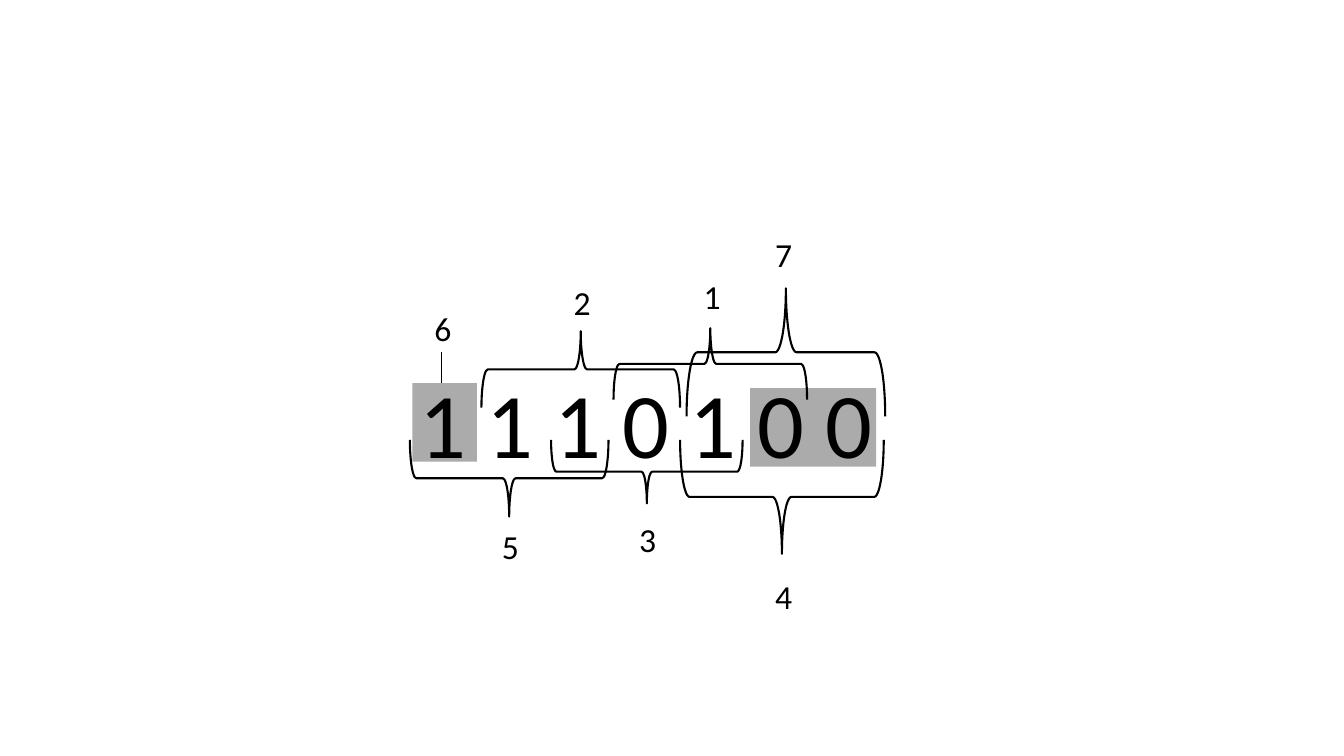
from dataclasses import dataclass

from lxml import etree
from pptx import Presentation, util as u
from pptx.dml.color import RGBColor
from pptx.enum import shapes, text
from pptx.oxml import ns

PX = u.Inches(1) // 100
COLORS = {"ink": "000000", "shade": "595959"}
FONT = "Calibri"
LABEL_WIDTH, LABEL_HEIGHT = 34, 50
UPWARD, DOWNWARD = 270, 90


@dataclass(frozen=True)
class Box:
    left: int
    top: int
    width: int
    height: int

    def emu(self) -> tuple[int, ...]:
        return tuple(value * PX for value in (self.left, self.top, self.width, self.height))


@dataclass(frozen=True)
class Brace:
    box: Box
    rotation: int


@dataclass(frozen=True)
class Label:
    number: int
    left: int
    top: int


SHADES = [Box(409, 380, 64, 78), Box(744, 385, 125, 78)]
BRACES = [
    Brace(Box(669, 265, 71, 192), UPWARD),
    Brace(Box(538, 268, 76, 197), UPWARD),
    Brace(Box(610, 373, 63, 190), DOWNWARD),
    Brace(Box(719, 392, 113, 202), DOWNWARD),
    Brace(Box(467, 376, 76, 197), DOWNWARD),
    Brace(Box(716, 251, 127, 197), UPWARD),
]
LABELS = [
    Label(1, 688, 269),
    Label(2, 559, 275),
    Label(3, 624, 510),
    Label(4, 759, 566),
    Label(5, 488, 517),
    Label(6, 421, 301),
    Label(7, 759, 227),
]


def color(name: str) -> RGBColor:
    return RGBColor.from_string(COLORS[name])


def add_shade(slide, box: Box) -> None:
    shape = slide.shapes.add_shape(shapes.MSO_SHAPE.RECTANGLE, *box.emu())
    shape.shadow.inherit = False
    shape.line.fill.background()
    shape.fill.solid()
    shape.fill.fore_color.rgb = color("shade")
    fill_color = shape.fill._xPr.find(".//" + ns.qn("a:srgbClr"))
    etree.SubElement(fill_color, ns.qn("a:alpha"), val="50000")


def add_text(slide, box: Box, content: str, size: int) -> None:
    text_frame = slide.shapes.add_textbox(*box.emu()).text_frame
    text_frame.word_wrap = True
    text_frame.auto_size = text.MSO_AUTO_SIZE.SHAPE_TO_FIT_TEXT
    text_frame.text = content
    font = text_frame.paragraphs[0].runs[0].font
    font.name = FONT
    font.size = u.Pt(size)
    font.color.rgb = color("ink")


def add_brace(slide, brace: Brace) -> None:
    shape = slide.shapes.add_shape(shapes.MSO_SHAPE.RIGHT_BRACE, *brace.box.emu())
    shape.rotation = brace.rotation
    shape.shadow.inherit = False
    shape.fill.background()
    shape.line.color.rgb = color("ink")
    shape.line.width = u.Pt(1.5)


def add_pointer(slide, x: int, start: int, end: int) -> None:
    connector = slide.shapes.add_connector(
        shapes.MSO_CONNECTOR.STRAIGHT, x * PX, start * PX, x * PX, end * PX
    )
    connector.line.color.rgb = color("ink")
    connector.line.width = u.Pt(0.5)
    etree.SubElement(connector._element.spPr, ns.qn("a:effectLst"))


def main() -> None:
    presentation = Presentation()
    presentation.slide_width = 1333 * PX
    presentation.slide_height = 750 * PX
    slide = presentation.slides.add_slide(presentation.slide_layouts[6])
    for shade in SHADES:
        add_shade(slide, shade)
    add_text(slide, Box(406, 358, 503, 121), "1 1 1 0 1 0 0", 66)
    for brace in BRACES:
        add_brace(slide, brace)
    for label in LABELS:
        box = Box(label.left, label.top, LABEL_WIDTH, LABEL_HEIGHT)
        add_text(slide, box, str(label.number), 24)
    add_pointer(slide, 438, 380, 349)
    presentation.save("out.pptx")


if __name__ == "__main__":
    main()
